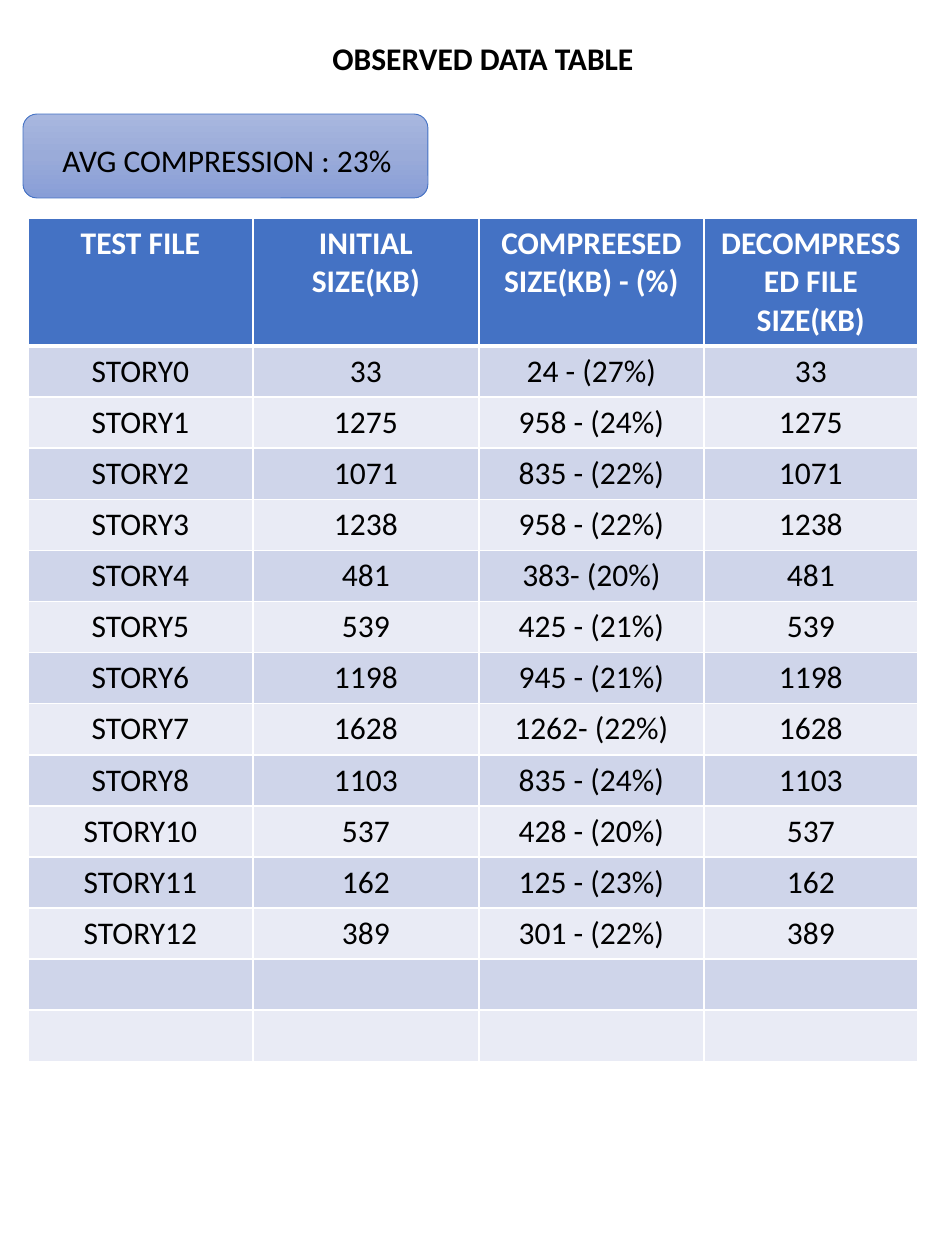
from copy import deepcopy
from dataclasses import dataclass

from lxml.etree import SubElement
from pptx import Presentation
from pptx.dml.color import RGBColor
from pptx.enum.shapes import MSO_SHAPE
from pptx.enum.text import MSO_AUTO_SIZE, PP_ALIGN
from pptx.oxml.ns import qn
from pptx.util import Emu, Pt

PX_PER_INCH = 126


def px(length: int) -> Emu:
    return Emu(round(length * 914400 / PX_PER_INCH))


@dataclass(frozen=True)
class Theme:
    font: str = "Calibri"
    text_size: int = 18
    text: str = "000000"
    white: str = "FFFFFF"
    accent: str = "4472C4"
    bands: tuple[str, str] = ("CFD5EA", "E9EBF5")
    badge: tuple[str, str, str] = ("A8B7DF", "9AABD9", "889ED7")
    badge_line: float = 0.5
    grid_line: int = 1
    header_line: int = 3


@dataclass(frozen=True)
class Box:
    left: int
    top: int
    width: int
    height: int

    def emu(self) -> tuple[Emu, Emu, Emu, Emu]:
        return px(self.left), px(self.top), px(self.width), px(self.height)


@dataclass(frozen=True)
class Story:
    number: int
    initial: int
    compressed: str

    def cells(self) -> tuple[str, str, str, str]:
        # Decompression restores the initial size
        return f"STORY{self.number}", str(self.initial), self.compressed, str(self.initial)


THEME = Theme()
HEADER = ("TEST FILE", "INITIAL SIZE(KB)", "COMPREESED SIZE(KB) - (%)",
          "DECOMPRESSED FILE SIZE(KB)")
STORIES = (
    Story(0, 33, "24 - (27%)"),
    Story(1, 1275, "958 - (24%)"),
    Story(2, 1071, "835 - (22%)"),
    Story(3, 1238, "958 - (22%)"),
    Story(4, 481, "383- (20%)"),
    Story(5, 539, "425 - (21%)"),
    Story(6, 1198, "945 - (21%)"),
    Story(7, 1628, "1262- (22%)"),
    Story(8, 1103, "835 - (24%)"),
    Story(10, 537, "428 - (20%)"),
    Story(11, 162, "125 - (23%)"),
    Story(12, 389, "301 - (22%)"),
)
SPARE_ROWS = 2
COLUMN_WIDTHS = (225, 226, 225, 214)
ROW_HEIGHT = 51


def write(frame, text: str, *, color: str = THEME.text, bold: bool = False,
          align: PP_ALIGN = PP_ALIGN.LEFT) -> None:
    para = frame.paragraphs[0]
    para.alignment = align
    span = para.add_run()
    span.text = text
    span.font.name = THEME.font
    span.font.size = Pt(THEME.text_size)
    span.font.bold = bold
    span.font.color.rgb = RGBColor.from_string(color)


def add_label(page, box: Box, text: str, *, wrap: bool, bold: bool = False) -> None:
    frame = page.shapes.add_textbox(*box.emu()).text_frame
    frame.word_wrap = wrap
    frame.auto_size = MSO_AUTO_SIZE.SHAPE_TO_FIT_TEXT
    write(frame, text, bold=bold)


def add_badge(page, box: Box) -> None:
    shape = page.shapes.add_shape(MSO_SHAPE.ROUNDED_RECTANGLE, *box.emu())
    shape.shadow.inherit = False
    shape.line.color.rgb = RGBColor.from_string(THEME.accent)
    shape.line.width = Pt(THEME.badge_line)
    shape.fill.gradient()
    shape.fill.gradient_angle = 270
    # A gradient starts with two stops; the middle one is added between them
    stop_list = next(shape.element.iter(qn("a:gsLst")))
    middle = deepcopy(stop_list[0])
    stop_list.insert(1, middle)
    for index, (stop, color) in enumerate(zip(shape.fill.gradient_stops, THEME.badge)):
        stop.position = index / 2
        stop.color.rgb = RGBColor.from_string(color)


def set_borders(cell, *, top: int, bottom: int) -> None:
    properties = cell._tc.get_or_add_tcPr()
    widths = {"a:lnL": THEME.grid_line, "a:lnR": THEME.grid_line,
              "a:lnT": top, "a:lnB": bottom}
    for tag, width in widths.items():
        line = SubElement(properties, qn(tag), w=str(Pt(width)))
        fill = SubElement(line, qn("a:solidFill"))
        SubElement(fill, qn("a:srgbClr"), val=THEME.white)


def add_data_table(page, left: int, top: int) -> None:
    blank = ("",) * len(HEADER)
    rows = [HEADER, *(story.cells() for story in STORIES), *[blank] * SPARE_ROWS]
    box = Box(left, top, sum(COLUMN_WIDTHS), ROW_HEIGHT * len(rows))
    table = page.shapes.add_table(len(rows), len(HEADER), *box.emu()).table
    for column, width in zip(table.columns, COLUMN_WIDTHS):
        column.width = px(width)
    for row_index, values in enumerate(rows):
        table.rows[row_index].height = px(ROW_HEIGHT)
        is_header = row_index == 0
        fill = THEME.accent if is_header else THEME.bands[(row_index - 1) % 2]
        for column_index, value in enumerate(values):
            cell = table.cell(row_index, column_index)
            set_borders(cell,
                        top=THEME.header_line if row_index == 1 else THEME.grid_line,
                        bottom=THEME.header_line if is_header else THEME.grid_line)
            cell.fill.solid()
            cell.fill.fore_color.rgb = RGBColor.from_string(fill)
            if value:
                write(cell.text_frame, value, bold=is_header, align=PP_ALIGN.CENTER,
                      color=THEME.white if is_header else THEME.text)


def main() -> None:
    deck = Presentation()
    deck.slide_width, deck.slide_height = px(945), px(1260)
    page = deck.slides.add_slide(deck.slide_layouts[6])

    # Average badge behind its label
    add_badge(page, Box(23, 114, 405, 84))
    # Measured sizes
    add_data_table(page, 28, 218)
    # Labels
    add_label(page, Box(50, 135, 365, 50), "AVG COMPRESSION : 23%", wrap=False)
    add_label(page, Box(320, 33, 360, 53), "OBSERVED DATA TABLE", wrap=True, bold=True)

    deck.save("out.pptx")


if __name__ == "__main__":
    main()
